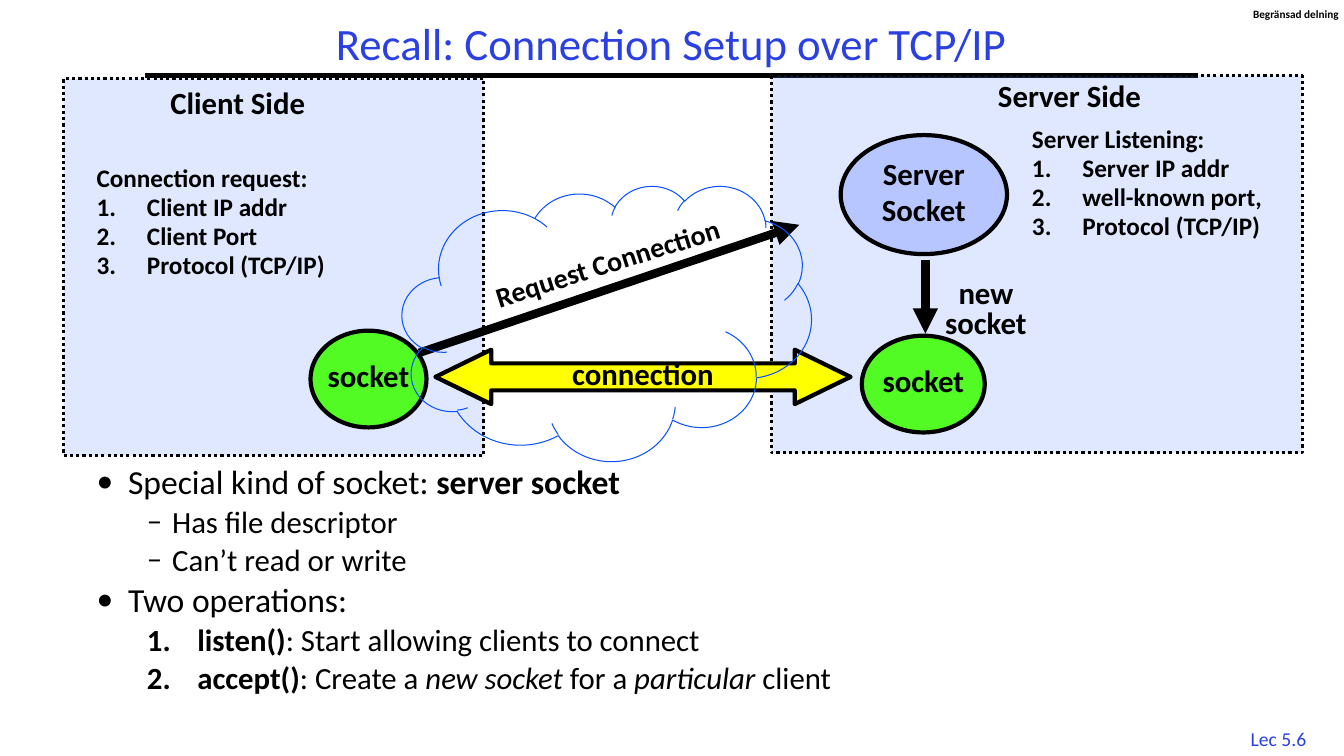
import pptx
import pptx.dml.color
import pptx.enum.dml
import pptx.enum.shapes
import pptx.enum.text
import pptx.oxml.ns
import pptx.util
from lxml import etree

Pt = pptx.util.Pt
RGBColor = pptx.dml.color.RGBColor
MSO_SHAPE = pptx.enum.shapes.MSO_SHAPE
ANCHOR = pptx.enum.text.MSO_ANCHOR
ALIGN = pptx.enum.text.PP_ALIGN
qn = pptx.oxml.ns.qn

COLORS = {
    "black": "000000",
    "title": "2A40E2",
    "panel": "618FFD",
    "green": "53FB25",
    "lilac": "B7C6FE",
    "yellow": "FFFF00",
    "cloud": "0B52FC",
}


def write(frame, rows, size, color="black", bold=True, align=ALIGN.CENTER, spacing=0.8, gap=0.0):
    """Each row is text, or (runs, size, left margin, hanging, bullet); a run is (text, style)."""
    for index, row in enumerate(rows):
        if isinstance(row, str):
            row = ([(row, "b" if bold else "")], size, 0, 0, None)
        runs, row_size, margin, hanging, bullet = row
        paragraph = frame.paragraphs[0] if index == 0 else frame.add_paragraph()
        paragraph.alignment = align
        paragraph.line_spacing = spacing
        if index:
            paragraph.space_before = Pt(gap)
        if bullet:
            properties = paragraph._p.get_or_add_pPr()
            properties.set("marL", str(Pt(margin)))
            properties.set("indent", str(Pt(-hanging)))
            if bullet == "1.":
                etree.SubElement(properties, qn("a:buAutoNum"), type="arabicPeriod")
            else:
                etree.SubElement(properties, qn("a:buFont"), typeface="Calibri")
                etree.SubElement(properties, qn("a:buChar"), char=bullet)
        for text, style in runs:
            run = paragraph.add_run()
            run.text = text
            run.font.name = "Calibri"
            run.font.size = Pt(row_size)
            run.font.bold = "b" in style
            run.font.italic = "i" in style
            run.font.color.rgb = RGBColor.from_string(COLORS[color])


def add_line(start, end, width, arrow):
    connector = slide.shapes.add_connector(
        pptx.enum.shapes.MSO_CONNECTOR.STRAIGHT, *map(Pt, start + end))
    connector.line.color.rgb = RGBColor.from_string(COLORS["black"])
    connector.line.width = Pt(width)
    if arrow:
        etree.SubElement(connector.line._get_or_add_ln(), qn("a:tailEnd"), type="triangle")
    etree.SubElement(connector._element.spPr, qn("a:effectLst"))


presentation = pptx.Presentation()
presentation.slide_width, presentation.slide_height = Pt(960), Pt(540)
slide = presentation.slides.add_slide(presentation.slide_layouts[5])

# Title and rule
title = slide.shapes.title
title.left, title.top, title.width, title.height = map(Pt, (103.7, 12.2, 751.7, 41.8))
title.text_frame.vertical_anchor = ANCHOR.MIDDLE
write(title.text_frame, ["Recall: Connection Setup over TCP/IP"], 32, "title", False, spacing=0.9)
add_line((103.7, 54), (856, 54), 3, False)

# Client and server panels, sockets, connection arrow and cloud
shapes = [
    (MSO_SHAPE.RECTANGLE, (45.4, 56.2, 300.2, 269.3), "panel", 2.25, []),
    (MSO_SHAPE.RECTANGLE, (550.8, 54, 379.4, 269.3), "panel", 2.25, []),
    (MSO_SHAPE.OVAL, (221.8, 236.2, 82.8, 69.1), "green", 3, ["socket"]),
    (MSO_SHAPE.OVAL, (600.5, 96.5, 118.8, 85), "lilac", 3, ["Server", "Socket"]),
    (MSO_SHAPE.OVAL, (615.6, 239.8, 87.8, 69.1), "green", 3, ["socket"]),
    (MSO_SHAPE.LEFT_RIGHT_ARROW, (311, 249.8, 296.6, 38.9), "yellow", 3, ["connection"]),
    (MSO_SHAPE.CLOUD, (287.3, 132.5, 292.3, 196.6), None, 0.75, []),
]
for kind, box, fill, width, words in shapes:
    if kind == MSO_SHAPE.CLOUD:
        # Arrows lie under the cloud outline
        add_line((661, 185.8), (661, 238.3), 6, True)
        add_line((299.5, 252), (571, 160.6), 6, True)
    shape = slide.shapes.add_shape(kind, *map(Pt, box))
    shape.shadow.inherit = False
    shape.line.width = Pt(width)
    shape.line.color.rgb = RGBColor.from_string(COLORS["black" if fill else "cloud"])
    if fill:
        shape.fill.solid()
        shape.fill.fore_color.rgb = RGBColor.from_string(COLORS[fill])
    else:
        shape.fill.background()
    if fill == "panel":
        shape.line.dash_style = pptx.enum.dml.MSO_LINE.ROUND_DOT
        fill_color = shape._element.spPr.find(qn("a:solidFill"))[0]
        etree.SubElement(fill_color, qn("a:alpha"), val="20000")
    if kind == MSO_SHAPE.LEFT_RIGHT_ARROW:
        shape.adjustments[0], shape.adjustments[1] = 0.496, 1.026
    if words:
        shape.text_frame.word_wrap = False
        shape.text_frame.vertical_anchor = ANCHOR.MIDDLE
        write(shape.text_frame, words, 22, gap=4.2)

# Centred labels
labels = [
    ((695.5, 56.2, 136.8, 28), ["Server Side"], 22, 0, "black", True),
    ((105, 61.2, 129.6, 28), ["Client Side"], 22, 0, "black", True),
    ((661.7, 197.3, 85, 49.7), ["new", "socket"], 22, 0, "black", True),
    ((329, 176.4, 211, 26.6), ["Request Connection"], 20, 342.5, "black", True),
    ((878.4, 515.5, 69.8, 23.8), ["Lec 5.6"], 14, 0, "title", False),
]
for box, words, size, rotation, color, bold in labels:
    label = slide.shapes.add_textbox(*map(Pt, box))
    label.rotation = rotation
    label.text_frame.word_wrap = True
    write(label.text_frame, words, size, color, bold, spacing=1.0 if color == "title" else 0.8)

# Sharing note in the corner
note = slide.shapes.add_textbox(Pt(895), Pt(5), Pt(65), Pt(10)).text_frame
note.margin_left = note.margin_top = note.margin_right = note.margin_bottom = 0
note.word_wrap = True
write(note, ["Begränsad delning"], 8, align=ALIGN.LEFT, spacing=1.0)

# Address lists on both sides
address_lists = [
    (730.1, 88.6, "Server Listening:", ["Server IP addr", "well-known port,", "Protocol (TCP/IP)"]),
    (61.9, 116.6, "Connection request:", ["Client IP addr", "Client Port", "Protocol (TCP/IP)"]),
]
for left, top, heading, items in address_lists:
    address_list = slide.shapes.add_textbox(Pt(left), Pt(top), Pt(200), Pt(90))
    address_list.text_frame.word_wrap = True
    rows = [heading] + [([(item, "b")], 18, 36, 36, "1.") for item in items]
    write(address_list.text_frame, rows, 18, align=ALIGN.LEFT, gap=3.5)

# Explanation
explanation = slide.shapes.add_textbox(Pt(61.9), Pt(329.8), Pt(828), Pt(213.8))
explanation.text_frame.word_wrap = True
write(explanation.text_frame, [
    ([("Special kind of socket: ", ""), ("server socket", "b")], 24, 22.5, 22.5, "•"),
    ([("Has file descriptor", "")], 22, 54, 18, "–"),
    ([("Can’t read or write", "")], 22, 54, 18, "–"),
    ([("Two operations:", "")], 24, 22.5, 22.5, "•"),
    ([("listen()", "b"), (": Start allowing clients to connect", "")], 22, 72, 36, "1."),
    ([("accept()", "b"), (": Create a ", ""), ("new socket", "i"), (" for a ", ""),
      ("particular ", "i"), ("client", "")], 22, 72, 36, "1."),
], 24, align=ALIGN.LEFT, spacing=0.85, gap=5)

presentation.save("out.pptx")
